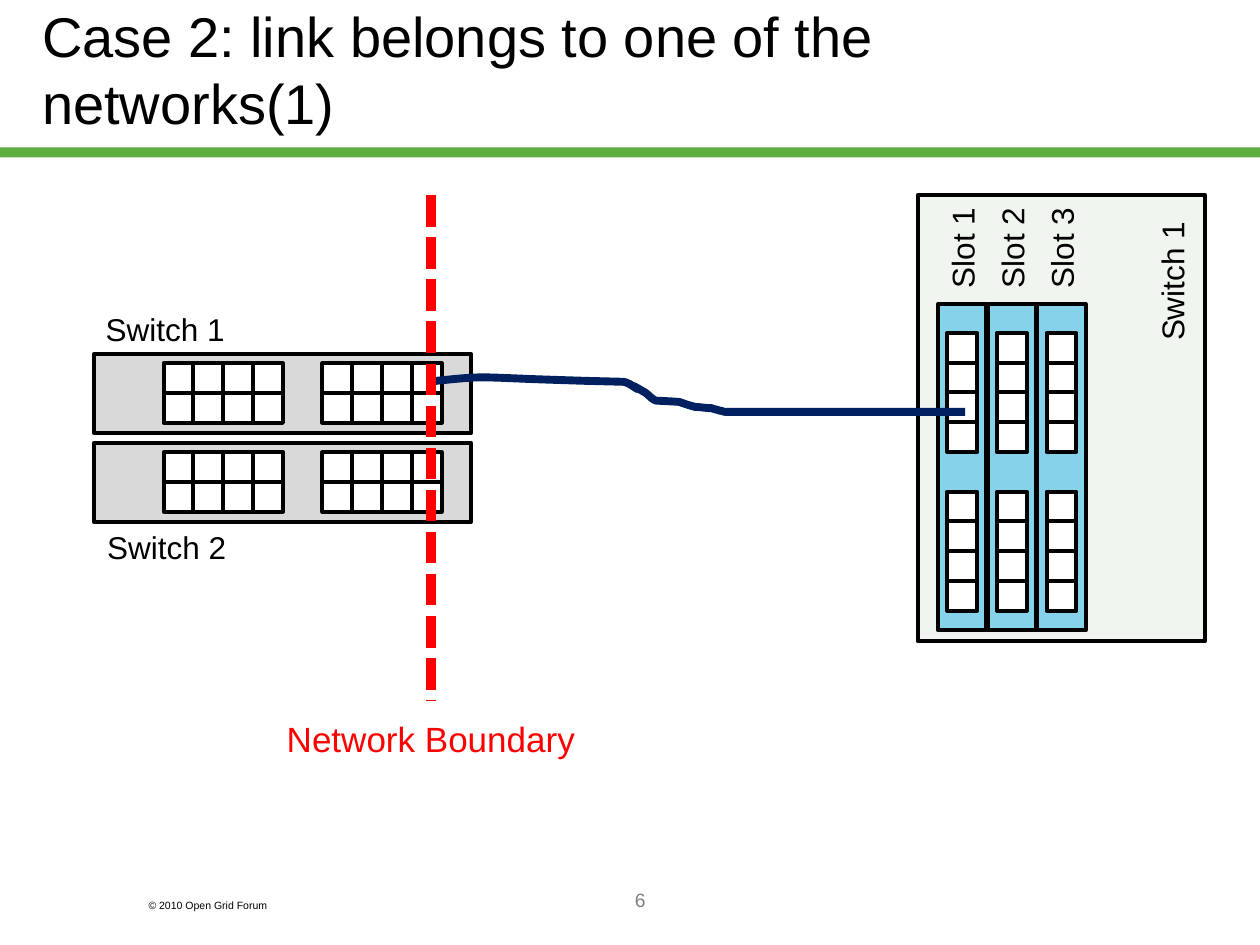
from lxml import etree
from pptx import Presentation
from pptx.dml.color import RGBColor
from pptx.enum.dml import MSO_LINE
from pptx.enum.shapes import MSO_CONNECTOR, MSO_SHAPE
from pptx.enum.text import MSO_ANCHOR, MSO_AUTO_SIZE, PP_ALIGN
from pptx.oxml.ns import qn
from pptx.util import Pt

RECTANGLE = MSO_SHAPE.RECTANGLE
STRAIGHT = MSO_CONNECTOR.STRAIGHT
DASH = MSO_LINE.SQUARE_DOT
SYS_DASH = "sysDash"
LEFT, CENTER = PP_ALIGN.LEFT, PP_ALIGN.CENTER
MIDDLE = MSO_ANCHOR.MIDDLE
FIXED, FIT_TEXT = MSO_AUTO_SIZE.NONE, MSO_AUTO_SIZE.SHAPE_TO_FIT_TEXT

BLACK = RGBColor(0x00, 0x00, 0x00)
WHITE = RGBColor(0xFF, 0xFF, 0xFF)
GRAY = RGBColor(0x80, 0x80, 0x80)
SWITCH_GRAY = RGBColor(0xD9, 0xD9, 0xD9)
CHASSIS = RGBColor(0xF0, 0xF6, 0xEF)
CARD_BLUE = RGBColor(0x87, 0xD2, 0xEB)
GREEN = RGBColor(0x5D, 0xAD, 0x41)
RED = RGBColor(0xFF, 0x00, 0x00)
NAVY = RGBColor(0x00, 0x20, 0x60)

PORT = 17.05
PORT_GROUP_PITCH = 90.7
CARD_PITCH = 28.4
SWITCH_LABEL_WIDTH = 88

# Cable route: start, then three control points per curve
CABLE_START = (244.1, 218.2)
CABLE_CURVES = [
    [(287.3, 213.8), (260.6, 216), (355.7, 218.2)],
    [(357.1, 218.2), (358.6, 218.9), (360, 219.6)],
    [(372.2, 227.5), (353.5, 215.3), (367.9, 223.9)],
    [(370.8, 225.4), (372.2, 228.2), (375.1, 229)],
    [(379.4, 229.2), (383.8, 229.4), (388.1, 229.7)],
    [(392.4, 231.1), (391.7, 231.1), (397.4, 232.6)],
    [(400.3, 232.6), (403.2, 233.3), (406.8, 233.3)],
    [(408.2, 234), (409.7, 234), (411.1, 234.7)],
    [(412.6, 234.7), (413.3, 235.4), (414.7, 235.4)],
]
CABLE_END = (551.5, 235.4)


def set_all(target, values):
    for name, value in values.items():
        setattr(target, name, value)


def bezier_points(start, first, second, end, steps=12):
    """Return points along a cubic curve, without its start."""
    points = []
    for step in range(1, steps + 1):
        t = step / steps
        weights = ((1 - t) ** 3, 3 * t * (1 - t) ** 2, 3 * t * t * (1 - t), t ** 3)
        corners = (start, first, second, end)
        points.append(tuple(
            sum(weight * corner[axis] for weight, corner in zip(weights, corners))
            for axis in (0, 1)))
    return points


class Diagram:
    font_name = "Arial"
    outline_width = 2.25

    def __init__(self, slide):
        self.slide = slide

    def format_text(self, shape, text, size, color, align, frame_format):
        frame = shape.text_frame
        frame.text = text
        set_all(frame, frame_format)
        paragraph = frame.paragraphs[0]
        paragraph.alignment = align
        set_all(paragraph.font, {"name": self.font_name, "size": Pt(size)})
        paragraph.font.color.rgb = color

    def title(self, text, left, top, width, height):
        title = self.slide.shapes.title
        set_all(title, {"left": Pt(left), "top": Pt(top),
                        "width": Pt(width), "height": Pt(height)})
        self.format_text(title, text, 32, BLACK, LEFT, {
            "vertical_anchor": MIDDLE, "word_wrap": True, "auto_size": FIXED})

    def label(self, text, left, top, width, height, size=18, color=BLACK,
              align=LEFT, wrap=False, rotation=0, auto_size=FIT_TEXT):
        box = self.slide.shapes.add_textbox(Pt(left), Pt(top), Pt(width), Pt(height))
        box.rotation = rotation
        self.format_text(box, text, size, color, align,
                         {"word_wrap": wrap, "auto_size": auto_size})

    def box(self, left, top, width, height, fill, outlined=True):
        shape = self.slide.shapes.add_shape(
            RECTANGLE, Pt(left), Pt(top), Pt(width), Pt(height))
        shape.shadow.inherit = False
        shape.fill.solid()
        shape.fill.fore_color.rgb = fill
        if outlined:
            self.stroke(shape.line, BLACK, self.outline_width)
        else:
            shape.line.fill.background()

    def stroke(self, line, color, width):
        line.color.rgb = color
        line.width = Pt(width)

    def port_group(self, left, top, columns, rows):
        for column in range(columns):
            for row in range(rows):
                self.box(left + column * PORT, top + row * PORT, PORT, PORT, WHITE)

    def switch(self, left, top):
        self.box(left, top, 215.3, 45.4, SWITCH_GRAY)
        for group in range(2):
            self.port_group(left + 39.7 + group * PORT_GROUP_PITCH, top + 5.4, 4, 2)

    def slot_card(self, left, top, name):
        width = 27.6
        self.box(left, top, width, 186.5, CARD_BLUE)
        for group in range(2):
            self.port_group(left + (width - PORT) / 2,
                            top + 16.5 + group * PORT_GROUP_PITCH, 1, 4)
        label_width = 60.5
        self.label(name, left + (width - label_width) / 2, top - 46.7,
                   label_width, 28.8, rotation=270)

    def cable(self, start, curves, end):
        points, current = [], start
        for curve in curves:
            points += bezier_points(current, *curve)
            current = curve[-1]
        points.append(end)
        builder = self.slide.shapes.build_freeform(Pt(start[0]), Pt(start[1]))
        builder.add_line_segments([(Pt(x), Pt(y)) for x, y in points], close=False)
        shape = builder.convert_to_shape()
        shape.shadow.inherit = False
        shape.fill.background()
        self.stroke(shape.line, NAVY, 4.5)

    def boundary(self, x, top, bottom):
        line = self.slide.shapes.add_connector(STRAIGHT, Pt(x), Pt(top), Pt(x), Pt(bottom))
        self.stroke(line.line, RED, 6)
        line.line.dash_style = DASH
        line.line._ln.find(qn("a:prstDash")).set("val", SYS_DASH)
        etree.SubElement(line._element.spPr, qn("a:effectLst"))


def main():
    presentation = Presentation()
    set_all(presentation, {"slide_width": Pt(720), "slide_height": Pt(540)})
    diagram = Diagram(presentation.slides.add_slide(presentation.slide_layouts[5]))

    diagram.box(0, 84.2, 720, 5.8, GREEN, outlined=False)
    diagram.label("© 2010 Open Grid Forum", 77.8, 510.2, 108, 14.4, size=6, wrap=True)
    diagram.title("Case 2: link belongs to one of the networks(1)", 16.9, 0, 612, 78.5)
    diagram.label("6", 155.9, 504, 419.8, 36, size=11, color=GRAY,
                  align=CENTER, wrap=True, auto_size=FIXED)

    for top in (202.2, 253):
        diagram.switch(53.8, top)
    diagram.label("Switch 1", 53.3, 173.5, SWITCH_LABEL_WIDTH, 28.8, wrap=True)
    diagram.label("Switch 2", 54.2, 298.4, SWITCH_LABEL_WIDTH, 28.8, wrap=True)

    diagram.box(524.4, 111.6, 164.2, 254.9, CHASSIS)
    for slot in range(3):
        diagram.slot_card(536 + slot * CARD_PITCH, 173.7, f"Slot {slot + 1}")
    diagram.label("Switch 1", 627.1, 145, 85, 28.8, wrap=True, rotation=270)

    diagram.cable(CABLE_START, CABLE_CURVES, CABLE_END)
    diagram.boundary(246.4, 111.6, 400.3)
    diagram.label("Network Boundary", 156.6, 406.4, 179.3, 31.7,
                  size=20, color=RED, align=CENTER)

    presentation.save("out.pptx")


if __name__ == "__main__":
    main()
